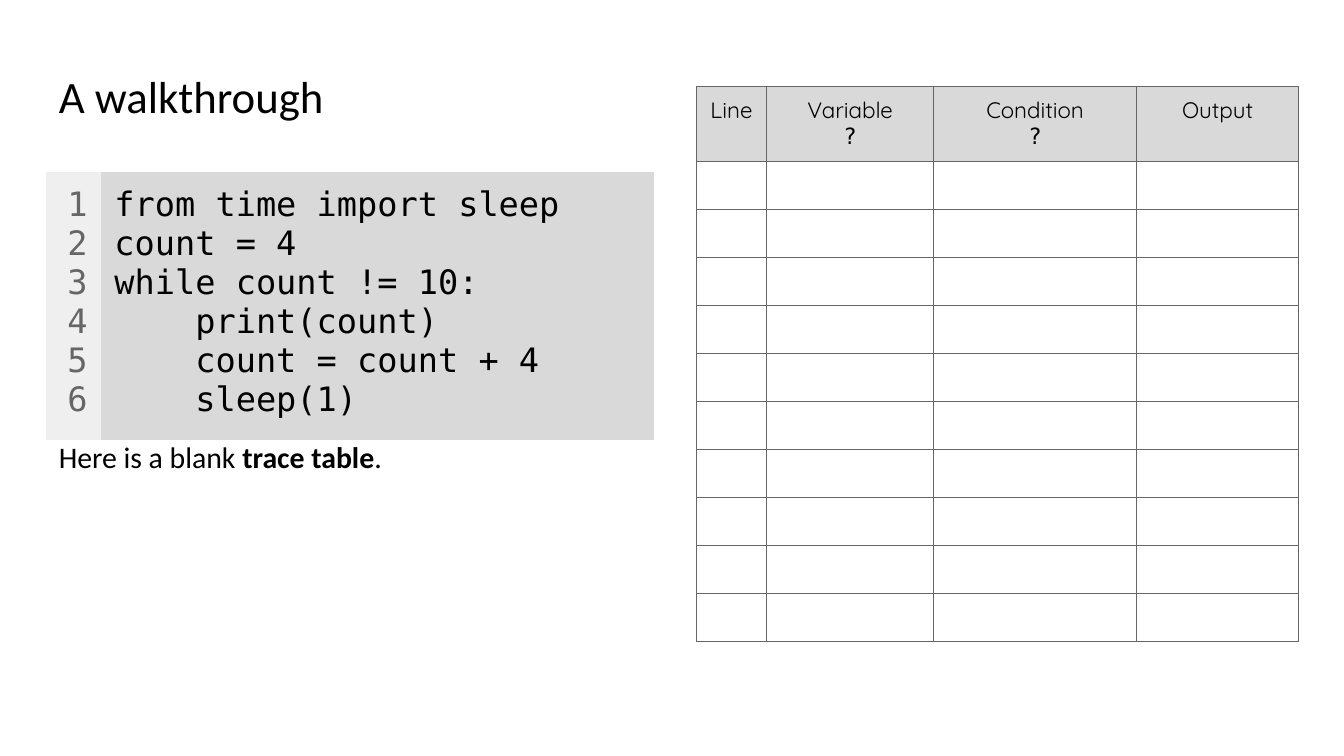
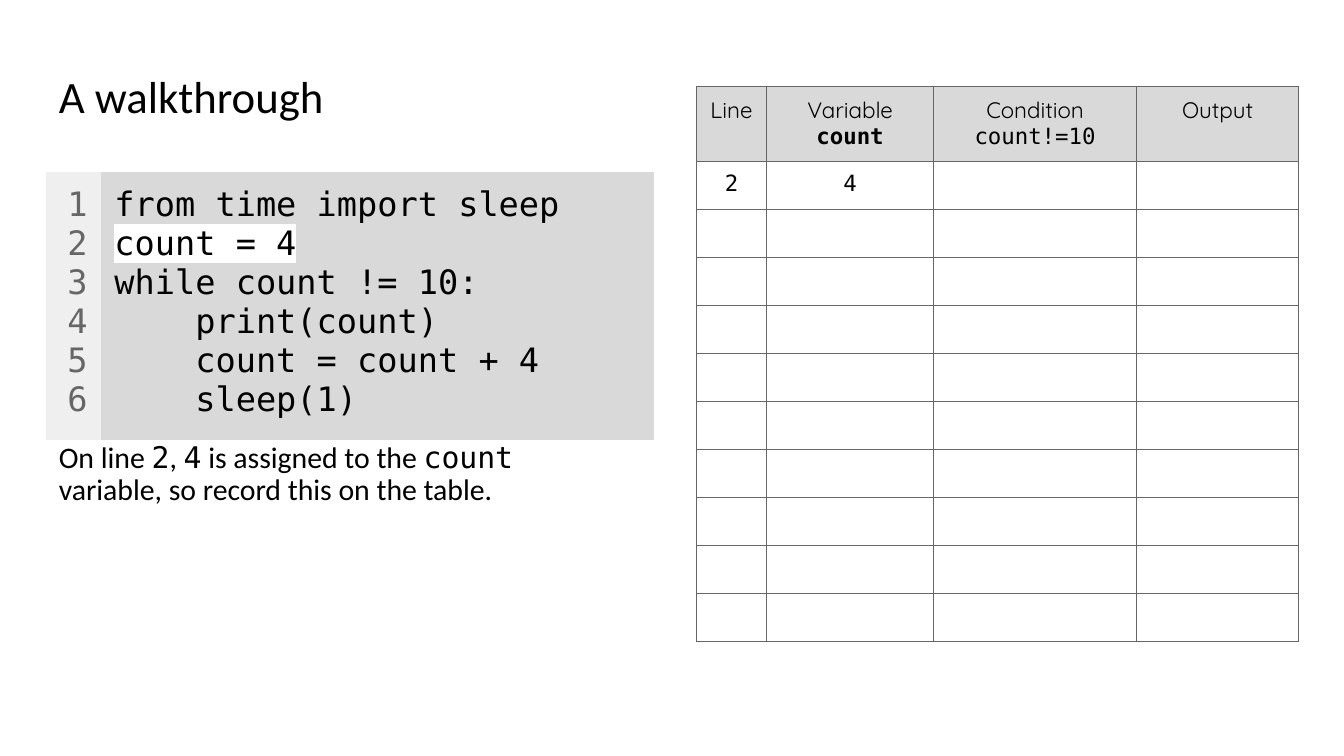
from dataclasses import dataclass

from lxml import etree
from pptx import Presentation
from pptx.dml.color import RGBColor
from pptx.enum import text as t
from pptx.oxml import ns
from pptx.util import Pt


@dataclass(frozen=True)
class Theme:
    ink: str = "000000"
    muted: str = "666666"
    panel: str = "D9D9D9"
    gutter: str = "EFEFEF"
    paper: str = "FFFFFF"
    sans: str = "Calibri"
    mono: str = "DejaVu Sans Mono"
    heading: str = "Quicksand"
    title_size: float = 32
    code_size: float = 24
    note_size: float = 21.3
    trace_size: float = 16
    inset: float = 9.6
    trace_inset: float = 7.2
    border: float = 0.75


@dataclass(frozen=True)
class Box:
    left: float
    top: float
    width: float
    height: float

    def lengths(self):
        return [Pt(v) for v in (self.left, self.top, self.width, self.height)]


@dataclass(frozen=True)
class Step:
    """One stage of the walkthrough; note and header runs are (text, style)."""
    note: list
    variable: tuple
    condition: tuple
    traced: tuple = ()
    active_line: int = 0


THEME = Theme()
TITLE_STYLE = dict(name=THEME.sans, size=THEME.title_size)
NOTE = dict(name=THEME.sans, size=THEME.note_size)
NOTE_BOLD = dict(NOTE, bold=True)
NOTE_CODE = dict(NOTE, name=THEME.mono)
CODE = dict(name=THEME.mono, size=THEME.code_size)
CODE_ACTIVE = dict(CODE, highlight=THEME.paper)
LINE_NUMBER = dict(CODE, color=THEME.muted)
TRACE_HEAD = dict(name=THEME.heading, size=THEME.trace_size)
TRACE_CODE = dict(name=THEME.mono, size=THEME.trace_size)
TRACE_CODE_BOLD = dict(TRACE_CODE, bold=True)

TITLE_BOX = Box(32.4, 33.8, 895, 73.4)
CODE_BOX = Box(32.8, 122.6, 434.4, 191.6)
NOTE_BOX = Box(32.4, 306.7, 430, 152)
TRACE_BOX = Box(497.4, 61.6, 430.4, 396.8)
GUTTER_WIDTH = 39.4
TRACE_WIDTHS = (50.2, 119.3, 145, 115.9)
TRACE_HEAD_HEIGHT = 53.6
TRACE_ROWS = 10
NO_TABLE_STYLE = "{2D5ABB26-0587-4C30-8999-92F81FD0307C}"

TITLE = "A walkthrough"
PROGRAM = [
    "from time import sleep",
    "count = 4",
    "while count != 10:",
    "    print(count)",
    "    count = count + 4",
    "    sleep(1)",
]
STEPS = [
    Step(
        note=[("Here is a blank ", NOTE), ("trace table", NOTE_BOLD), (".", NOTE)],
        variable=("?", TRACE_CODE),
        condition=("?", TRACE_CODE),
    ),
    Step(
        note=[
            ("On line ", NOTE), ("2", NOTE_CODE), (", ", NOTE), ("4", NOTE_CODE),
            (" is assigned to the ", NOTE), ("count ", NOTE_CODE),
            ("variable, so record this on the table.", NOTE),
        ],
        variable=("count", TRACE_CODE_BOLD),
        condition=("count!=10", TRACE_CODE),
        traced=("2", "4"),
        active_line=2,
    ),
]


def add_colored(parent, tag, color):
    element = etree.SubElement(parent, ns.qn(tag))
    etree.SubElement(element, ns.qn("a:srgbClr"), val=color)
    return element


def add_run(paragraph, words, style):
    run = paragraph.add_run()
    run.text = words
    run.font.color.rgb = RGBColor.from_string(style.get("color", THEME.ink))
    run.font.size = Pt(style["size"])
    run.font.bold = style.get("bold", False)
    if "highlight" in style:
        properties = run.font._element
        add_colored(properties, "a:highlight", style["highlight"])
    run.font.name = style["name"]


def write(frame, paragraphs, **paragraph_format):
    """Fill an empty frame; each paragraph is a list of (text, style) runs."""
    for index, runs in enumerate(paragraphs):
        paragraph = frame.add_paragraph() if index else frame.paragraphs[0]
        for attribute, value in paragraph_format.items():
            setattr(paragraph, attribute, value)
        for words, style in runs:
            add_run(paragraph, words, style)


def set_insets(target, inset):
    for side in ("left", "top", "right", "bottom"):
        setattr(target, f"margin_{side}", Pt(inset))


def add_plain_table(slide, box, widths, heights):
    table = slide.shapes.add_table(len(heights), len(widths), *box.lengths()).table
    table.first_row = table.horz_banding = False
    table._tbl.tblPr.find(ns.qn("a:tableStyleId")).text = NO_TABLE_STYLE
    for column, width in zip(table.columns, widths):
        column.width = Pt(width)
    for row, height in zip(table.rows, heights):
        row.height = Pt(height)
    return table


def format_cell(cell, fill, inset):
    cell.fill.solid()
    cell.fill.fore_color.rgb = RGBColor.from_string(fill)
    set_insets(cell, inset)


def add_borders(cell):
    properties = cell._tc.get_or_add_tcPr()
    for position, side in enumerate(("a:lnL", "a:lnR", "a:lnT", "a:lnB")):
        line = etree.Element(ns.qn(side), w=str(Pt(THEME.border)))
        add_colored(line, "a:solidFill", THEME.muted)
        properties.insert(position, line)


def place_title(slide, box):
    title = slide.shapes.title
    title.left, title.top, title.width, title.height = box.lengths()
    frame = title.text_frame
    frame.auto_size = t.MSO_AUTO_SIZE.NONE
    frame.vertical_anchor = t.MSO_ANCHOR.MIDDLE
    set_insets(frame, THEME.inset)
    write(frame, [[(TITLE, TITLE_STYLE)]], alignment=t.PP_ALIGN.LEFT, line_spacing=0.9)


def place_code(slide, box, active_line):
    widths = (GUTTER_WIDTH, box.width - GUTTER_WIDTH)
    table = add_plain_table(slide, box, widths, [box.height])
    numbers, listing = table.cell(0, 0), table.cell(0, 1)
    format_cell(numbers, THEME.gutter, THEME.inset)
    format_cell(listing, THEME.panel, THEME.inset)
    lines = list(enumerate(PROGRAM, 1))
    write(numbers.text_frame, [[(str(n), LINE_NUMBER)] for n, _ in lines],
          alignment=t.PP_ALIGN.RIGHT)
    write(listing.text_frame,
          [[(code, CODE_ACTIVE if n == active_line else CODE)] for n, code in lines],
          alignment=t.PP_ALIGN.LEFT)


def place_note(slide, box, runs):
    frame = slide.shapes.add_textbox(*box.lengths()).text_frame
    frame.word_wrap = True
    set_insets(frame, THEME.inset)
    write(frame, [runs], line_spacing=0.9, space_after=Pt(THEME.note_size))


def place_trace(slide, box, step):
    row_height = (box.height - TRACE_HEAD_HEIGHT) / TRACE_ROWS
    heights = [TRACE_HEAD_HEIGHT] + [row_height] * TRACE_ROWS
    table = add_plain_table(slide, box, TRACE_WIDTHS, heights)
    contents = {
        (0, 0): [[("Line", TRACE_HEAD)]],
        (0, 1): [[("Variable", TRACE_HEAD)], [step.variable]],
        (0, 2): [[("Condition", TRACE_HEAD)], [step.condition]],
        (0, 3): [[("Output", TRACE_HEAD)]],
    }
    for column, value in enumerate(step.traced):
        contents[1, column] = [[(value, TRACE_CODE)]]
    for row in range(len(heights)):
        for column in range(len(TRACE_WIDTHS)):
            cell = table.cell(row, column)
            format_cell(cell, THEME.paper if row else THEME.panel, THEME.trace_inset)
            add_borders(cell)
            if (row, column) in contents:
                write(cell.text_frame, contents[row, column], alignment=t.PP_ALIGN.CENTER)
            else:
                # An empty cell would otherwise take the taller default size.
                end = etree.SubElement(cell.text_frame.paragraphs[0]._p,
                                       ns.qn("a:endParaRPr"))
                end.set("sz", str(THEME.trace_size * 100))


def add_step_slide(deck, step):
    slide = deck.slides.add_slide(deck.slide_layouts[5])
    place_title(slide, TITLE_BOX)
    place_trace(slide, TRACE_BOX, step)
    place_code(slide, CODE_BOX, step.active_line)
    place_note(slide, NOTE_BOX, step.note)


def main():
    deck = Presentation()
    deck.slide_width, deck.slide_height = Pt(960), Pt(540)
    for step in STEPS:
        add_step_slide(deck, step)
    deck.save("out.pptx")


if __name__ == "__main__":
    main()
